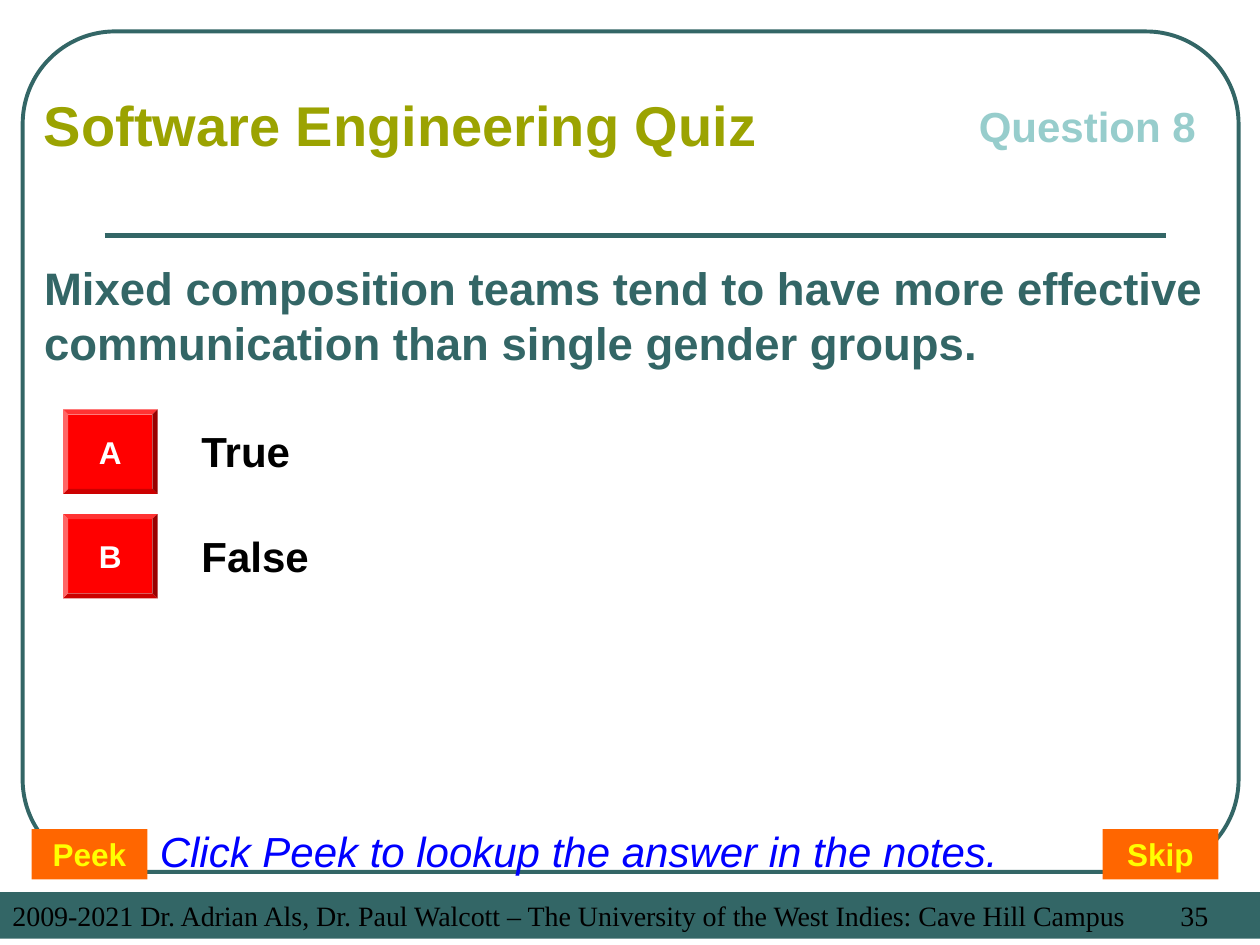
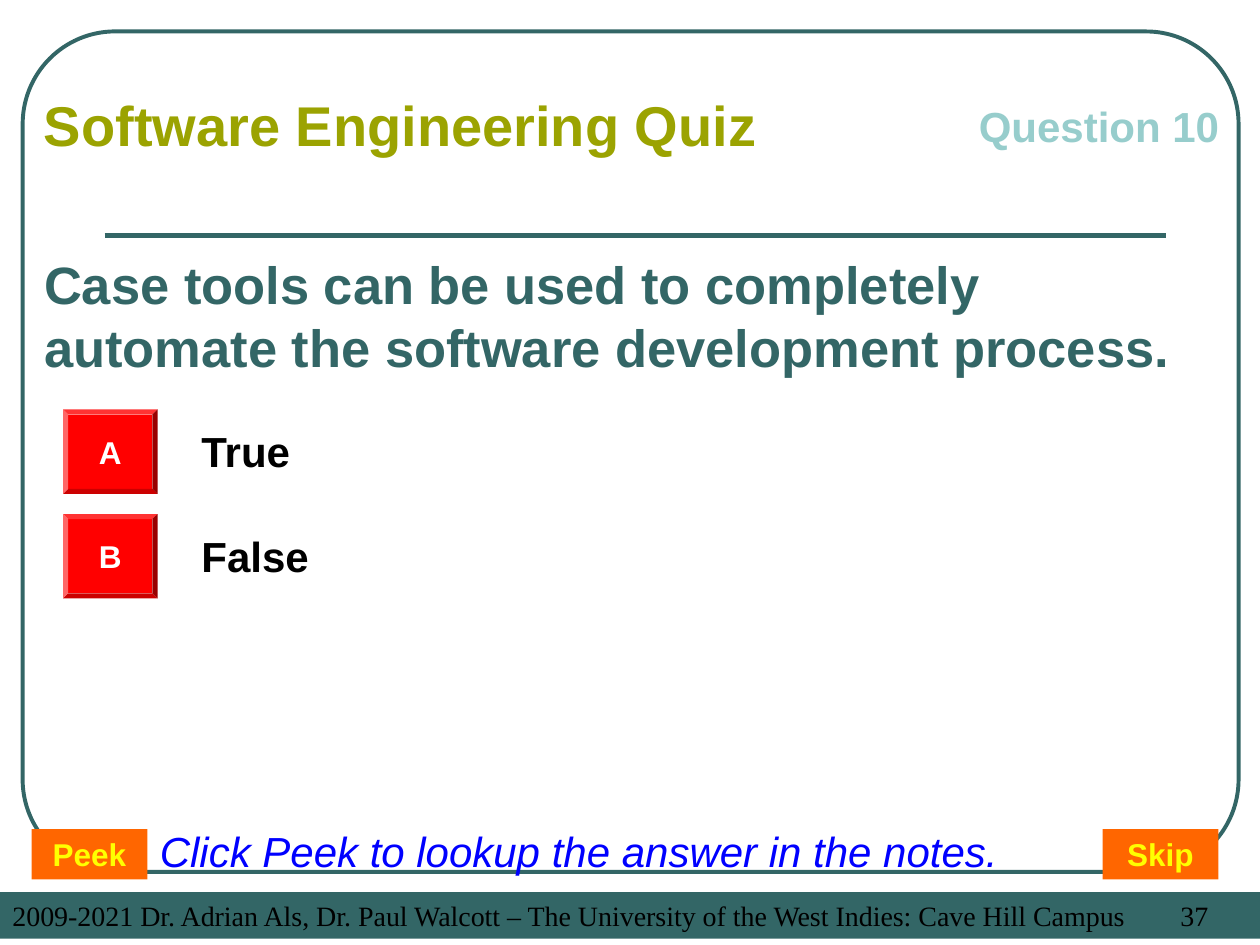
"""Build two true-or-false quiz slides on one shared frame."""
from dataclasses import dataclass

from lxml.etree import SubElement
from pptx import Presentation
from pptx.dml.color import RGBColor
from pptx.enum.shapes import MSO_CONNECTOR, MSO_SHAPE
from pptx.enum.text import MSO_ANCHOR, MSO_AUTO_SIZE, PP_ALIGN
from pptx.oxml.ns import qn
from pptx.util import Inches, Pt

HEAD = "Software Engineering Quiz"
NOTE = "Click Peek to lookup the answer in the notes."
CREDIT = ("2009-2021 Dr. Adrian Als, Dr. Paul Walcott – "
          "The University of the West Indies: Cave Hill Campus")
CHOICES = [("A", "True"), ("B", "False")]
BUTTONS = [("Peek", 0.25), ("Skip", 8.75)]
QUIZ = [
    dict(page=35, label="Question 8", size=26,
         ask="Mixed composition teams tend to have more effective "
             "communication than single gender groups."),
    dict(page=37, label="Question 10", size=30,
         ask="Case tools can be used to completely automate "
             "the software development process."),
]


@dataclass(frozen=True)
class Theme:
    teal: str = "336666"
    olive: str = "9BA301"
    aqua: str = "97CDCC"
    red: str = "FF0000"
    orange: str = "FF6600"
    yellow: str = "FFFF00"
    blue: str = "0000FF"
    black: str = "000000"
    white: str = "FFFFFF"
    sans: str = "Arial"
    serif: str = "Times New Roman"
    head: int = 32
    body: int = 24
    key: int = 18
    foot: int = 16


LOOK = Theme()


def tint(name):
    return RGBColor.from_string(name)


def write(shape, text, size, color, bold=True, italic=False,
          face=LOOK.sans, align=PP_ALIGN.LEFT, anchor=MSO_ANCHOR.TOP):
    frame = shape.text_frame
    frame.word_wrap = True
    frame.auto_size = MSO_AUTO_SIZE.NONE
    frame.vertical_anchor = anchor
    frame.text = text
    line = frame.paragraphs[0]
    line.alignment = align
    for run in line.runs:
        font = run.font
        font.name, font.size = face, Pt(size)
        font.bold, font.italic = bold, italic
        font.color.rgb = tint(color)
    return line


def label(slide, spot, text, size, color, **style):
    box = slide.shapes.add_textbox(*map(Inches, spot))
    write(box, text, size, color, **style)


def block(slide, kind, spot, fill):
    shape = slide.shapes.add_shape(kind, *map(Inches, spot))
    shape.shadow.inherit = False
    shape.line.fill.background()
    if fill:
        shape.fill.solid()
        shape.fill.fore_color.rgb = tint(fill)
    else:
        shape.fill.background()
    return shape


def stroke(shape, width):
    shape.line.color.rgb = tint(LOOK.teal)
    shape.line.width = Pt(width)


def share(slide):
    """Put the frame and rule on the layout that all slides use."""
    frame = block(slide, MSO_SHAPE.ROUNDED_RECTANGLE,
                  (0.18, 0.25, 9.65, 6.67), None)
    frame.adjustments[0] = 0.11
    stroke(frame, 2.25)
    rule = slide.shapes.add_connector(
        MSO_CONNECTOR.STRAIGHT, *map(Inches, (0.83, 1.87, 9.25, 1.87)))
    stroke(rule, 3)
    SubElement(rule.element.spPr, qn("a:effectLst"))
    tree = slide.slide_layout.shapes.element
    for place, part in enumerate((frame, rule), 2):
        tree.insert(place, part.element)


def footer(slide, page):
    band = block(slide, MSO_SHAPE.RECTANGLE, (0, 7.08, 10, 0.37), LOOK.teal)
    line = write(band, f"{CREDIT}\t{page}", LOOK.foot, LOOK.black,
                 bold=False, face=LOOK.serif)
    tabs = SubElement(line._p.get_or_add_pPr(), qn("a:tabLst"))
    SubElement(tabs, qn("a:tab"), pos=str(Inches(9.27)), algn="l")


def choose(slide):
    for row, (key, text) in enumerate(CHOICES):
        top = 3.25 + row * 0.83
        knob = block(slide, MSO_SHAPE.BEVEL, (0.5, top, 0.75, 0.67), LOOK.red)
        knob.adjustments[0] = 0.06
        write(knob, key, LOOK.key, LOOK.white,
              align=PP_ALIGN.CENTER, anchor=MSO_ANCHOR.MIDDLE)
        label(slide, (1.5, top + 0.08, 8.25, 0.5), text,
              LOOK.body, LOOK.black)


def build(slide, quiz):
    footer(slide, quiz["page"])
    title = slide.shapes.title
    title.left, title.top, title.width, title.height = map(
        Inches, (0.25, 1.75, 9.5, 1.5))
    write(title, quiz["ask"], quiz["size"], LOOK.teal,
          anchor=MSO_ANCHOR.MIDDLE)
    choose(slide)
    for text, left in BUTTONS:
        knob = block(slide, MSO_SHAPE.RECTANGLE,
                     (left, 6.58, 0.92, 0.4), LOOK.orange)
        write(knob, text, LOOK.key, LOOK.yellow, align=PP_ALIGN.CENTER)
    label(slide, (0.25, 0.67, 6.5, 0.64), HEAD, LOOK.head, LOOK.olive)
    label(slide, (1.17, 6.5, 7.17, 0.5), NOTE, LOOK.body, LOOK.blue,
          bold=False, italic=True)
    label(slide, (7.67, 0.75, 2.33, 0.5), quiz["label"],
          LOOK.body, LOOK.aqua)


def main():
    deck = Presentation()
    deck.slide_width, deck.slide_height = Inches(10), Inches(7.5)
    layout = deck.slide_layouts[5]
    slides = [deck.slides.add_slide(layout) for _ in QUIZ]
    share(slides[0])
    for slide, quiz in zip(slides, QUIZ):
        build(slide, quiz)
    deck.save("out.pptx")


if __name__ == "__main__":
    main()
